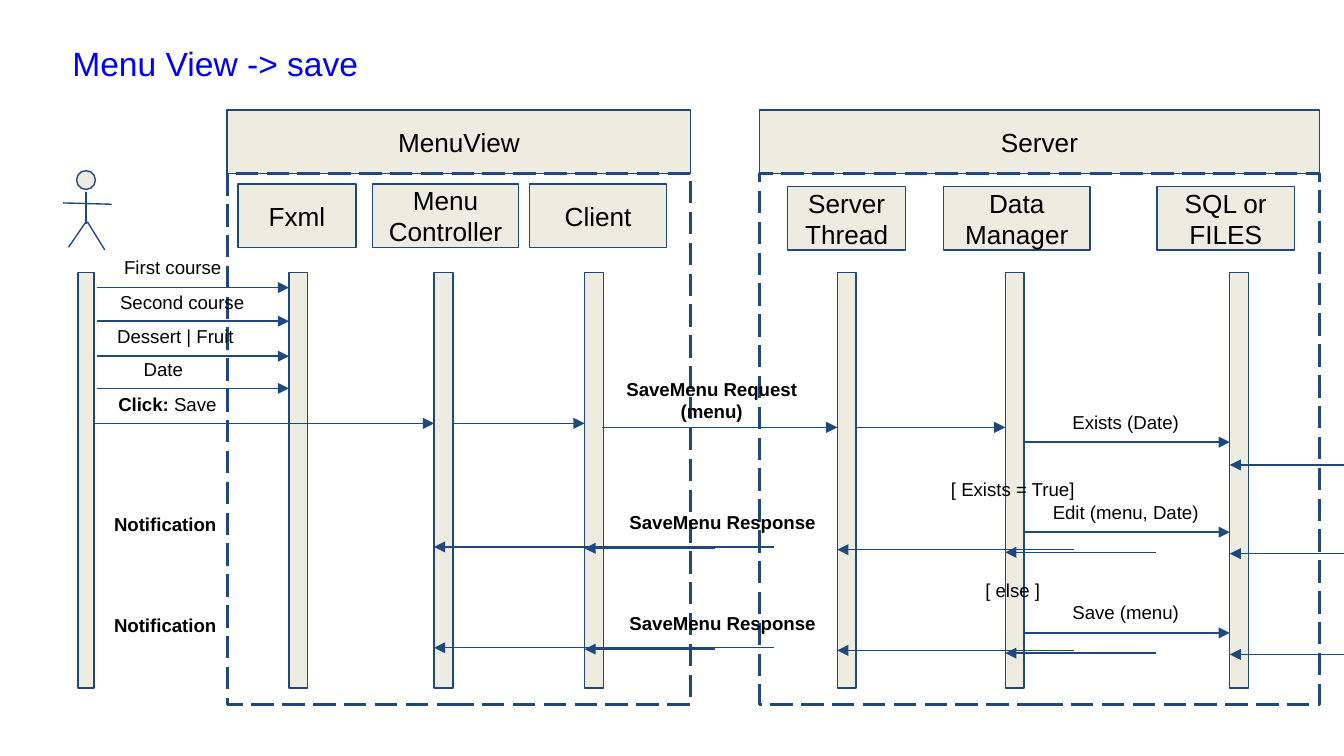
from typing import NamedTuple

from lxml import etree
from pptx import Presentation
from pptx.dml.color import RGBColor
from pptx.enum.dml import MSO_LINE
from pptx.enum.shapes import MSO_CONNECTOR, MSO_SHAPE
from pptx.enum.text import MSO_ANCHOR, PP_ALIGN
from pptx.oxml.ns import qn
from pptx.util import Inches, Pt

RECTANGLE, OVAL = MSO_SHAPE.RECTANGLE, MSO_SHAPE.OVAL
STRAIGHT = MSO_CONNECTOR.STRAIGHT
LONG_DASH = MSO_LINE.LONG_DASH
LEFT, CENTER = PP_ALIGN.LEFT, PP_ALIGN.CENTER
TOP, MIDDLE = MSO_ANCHOR.TOP, MSO_ANCHOR.MIDDLE

COLORS = {"line": "1F497D", "fill": "EEECE1", "text": "000000", "title": "0000FF"}
FONT = "Arial"
SLIDE_WIDTH = Inches(10)
SLIDE_HEIGHT = SLIDE_WIDTH * 9 // 16
HEADER_TOP, HEADER_HEIGHT = 0.82, 0.47
FRAME_TOP, FRAME_HEIGHT = 1.29, 3.95
BAR_TOP, BAR_HEIGHT, BAR_WIDTH = 2.03, 3.09, 0.14
BRANCH_STEP = 0.75


class Group(NamedTuple):
    text: str
    left: float
    width: float


class Participant(NamedTuple):
    text: str
    left: float
    top: float
    width: float
    bar_left: float


class Label(NamedTuple):
    text: str
    left: float
    top: float
    width: float = 1.25
    height: float = 0.25
    bold: bool = False
    align: PP_ALIGN = CENTER
    bold_lead: str = ""


class Line(NamedTuple):
    x1: float
    y1: float
    x2: float
    y2: float


GROUPS = [Group("MenuView", 1.69, 3.45), Group("Server", 5.65, 4.17)]

PARTICIPANTS = [
    Participant("Fxml", 1.77, 1.37, 0.88, 2.15),
    Participant("Menu Controller", 2.77, 1.37, 1.09, 3.23),
    Participant("Client", 3.94, 1.37, 1.02, 4.35),
    Participant("Server\vThread", 5.86, 1.39, 0.88, 6.23),
    Participant("Data Manager", 7.02, 1.39, 1.09, 7.48),
    Participant("SQL or FILES", 8.61, 1.39, 1.02, 9.15),
]

ACTOR_LIMBS = [
    Line(0.47, 1.51, 0.83, 1.52),
    Line(0.64, 1.43, 0.64, 1.67),
    Line(0.64, 1.65, 0.51, 1.84),
    Line(0.65, 1.65, 0.78, 1.86),
]

REQUEST_LABELS = [
    Label("First course", 0.66, 1.82, height=0.28),
    Label("Second course", 0.62, 2.08, 1.47),
    Label("Dessert | Fruit", 0.68, 2.33),
    Label("Date", 0.59, 2.58),
    Label(" Save", 0.62, 2.84, bold_lead="Click:"),
    Label("SaveMenu Request (menu)", 4.46, 2.71, 1.67, bold=True),
    Label("Exists (Date)", 7.54, 2.97, 1.67),
]

REQUEST_ARROWS = [Line(0.72, y, 2.15, y) for y in (2.14, 2.39, 2.65, 2.89)] + [
    Line(0.71, 3.15, 3.23, 3.15),
    Line(3.37, 3.15, 4.35, 3.15),
    Line(4.48, 3.18, 6.23, 3.18),
    Line(6.37, 3.18, 7.48, 3.18),
    Line(7.62, 3.29, 9.15, 3.29),
    Line(10.68, 3.46, 9.15, 3.46),
]

# Condition and call that differ between the two branches
BRANCHES = [("[ Exists = True]", "Edit (menu, Date)"), ("[ else ]", "Save (menu)")]

BRANCH_ARROWS = [
    Line(7.62, 3.96, 9.15, 3.96),
    Line(10.68, 4.12, 9.15, 4.12),
    Line(8.6, 4.11, 7.48, 4.11),
    Line(7.99, 4.09, 6.23, 4.09),
    Line(5.32, 4.08, 4.35, 4.08),
    Line(5.76, 4.07, 3.23, 4.07),
]


def rgb(name: str) -> RGBColor:
    return RGBColor.from_string(COLORS[name])


def format_text(shape, text: str, size: float, color: str = "text",
                align: PP_ALIGN = CENTER, anchor: MSO_ANCHOR = TOP,
                bold: bool = False, bold_lead: str = "") -> None:
    frame = shape.text_frame
    frame.word_wrap = True
    frame.vertical_anchor = anchor
    frame.margin_left = frame.margin_right = Inches(0.1)
    frame.margin_top = frame.margin_bottom = Inches(0.1)
    paragraph = frame.paragraphs[0]
    paragraph.text = bold_lead or text
    if bold_lead:
        paragraph.runs[0].font.bold = True
        paragraph.add_run().text = text
    paragraph.alignment = align
    font = paragraph.font
    font.name, font.size, font.bold = FONT, Pt(size), bold
    font.color.rgb = rgb(color)


def add_box(slide, left: float, top: float, width: float, height: float,
            text: str = "", kind: MSO_SHAPE = RECTANGLE):
    shape = slide.shapes.add_shape(
        kind, Inches(left), Inches(top), Inches(width), Inches(height))
    shape.shadow.inherit = False
    shape.fill.solid()
    shape.fill.fore_color.rgb = rgb("fill")
    shape.line.color.rgb = rgb("line")
    shape.line.width = Pt(0.74)
    if text:
        format_text(shape, text, 14, anchor=MIDDLE)
    return shape


def add_group(slide, group: Group) -> None:
    add_box(slide, group.left, HEADER_TOP, group.width, HEADER_HEIGHT, group.text)
    frame = add_box(slide, group.left, FRAME_TOP, group.width, FRAME_HEIGHT)
    frame.fill.background()
    frame.line.width = Pt(1.5)
    frame.line.dash_style = LONG_DASH


def add_participant(slide, item: Participant) -> None:
    add_box(slide, item.left, item.top, item.width, HEADER_HEIGHT, item.text)
    add_box(slide, item.bar_left, BAR_TOP, BAR_WIDTH, BAR_HEIGHT)


def add_label(slide, label: Label) -> None:
    box = slide.shapes.add_textbox(
        Inches(label.left), Inches(label.top), Inches(label.width), Inches(label.height))
    format_text(box, label.text, 10, align=label.align, bold=label.bold,
                bold_lead=label.bold_lead)


def add_line(slide, line: Line, arrow: bool = True) -> None:
    connector = slide.shapes.add_connector(STRAIGHT, *(Inches(value) for value in line))
    connector.line.color.rgb = rgb("line")
    connector.line.width = Pt(0.74)
    properties = connector._element.spPr
    if arrow:
        etree.SubElement(properties.find(qn("a:ln")), qn("a:tailEnd"), type="triangle")
    etree.SubElement(properties, qn("a:effectLst"))


def add_branch(slide, condition: str, call: str, offset: float) -> None:
    labels = [
        Label(condition, 6.87, 3.47 + offset, 1.33, 0.21),
        Label(call, 7.54, 3.64 + offset, 1.67),
        Label("SaveMenu Response", 4.54, 3.72 + offset, 1.67, bold=True),
        Label("Notification", 0.75, 3.73 + offset, bold=True, align=LEFT),
    ]
    for label in labels:
        add_label(slide, label)
    for x1, y1, x2, y2 in BRANCH_ARROWS:
        add_line(slide, Line(x1, y1 + offset, x2, y2 + offset))


presentation = Presentation()
presentation.slide_width, presentation.slide_height = SLIDE_WIDTH, SLIDE_HEIGHT
slide = presentation.slides.add_slide(presentation.slide_layouts[6])

# Title
title = slide.shapes.add_textbox(Inches(0.44), Inches(0.22), Inches(9.13), Inches(0.54))
format_text(title, "Menu View -> save", 18, color="title", align=LEFT)

# Actor with lifeline
for limb in ACTOR_LIMBS:
    add_line(slide, limb, arrow=False)
add_box(slide, 0.57, 1.27, 0.14, 0.14, kind=OVAL)
add_box(slide, 0.58, BAR_TOP, 0.12, BAR_HEIGHT)

# Groups and participants
for group in GROUPS:
    add_group(slide, group)
for participant in PARTICIPANTS:
    add_participant(slide, participant)

# Messages
for label in REQUEST_LABELS:
    add_label(slide, label)
for arrow in REQUEST_ARROWS:
    add_line(slide, arrow)
for index, (condition, call) in enumerate(BRANCHES):
    add_branch(slide, condition, call, index * BRANCH_STEP)

presentation.save("out.pptx")
